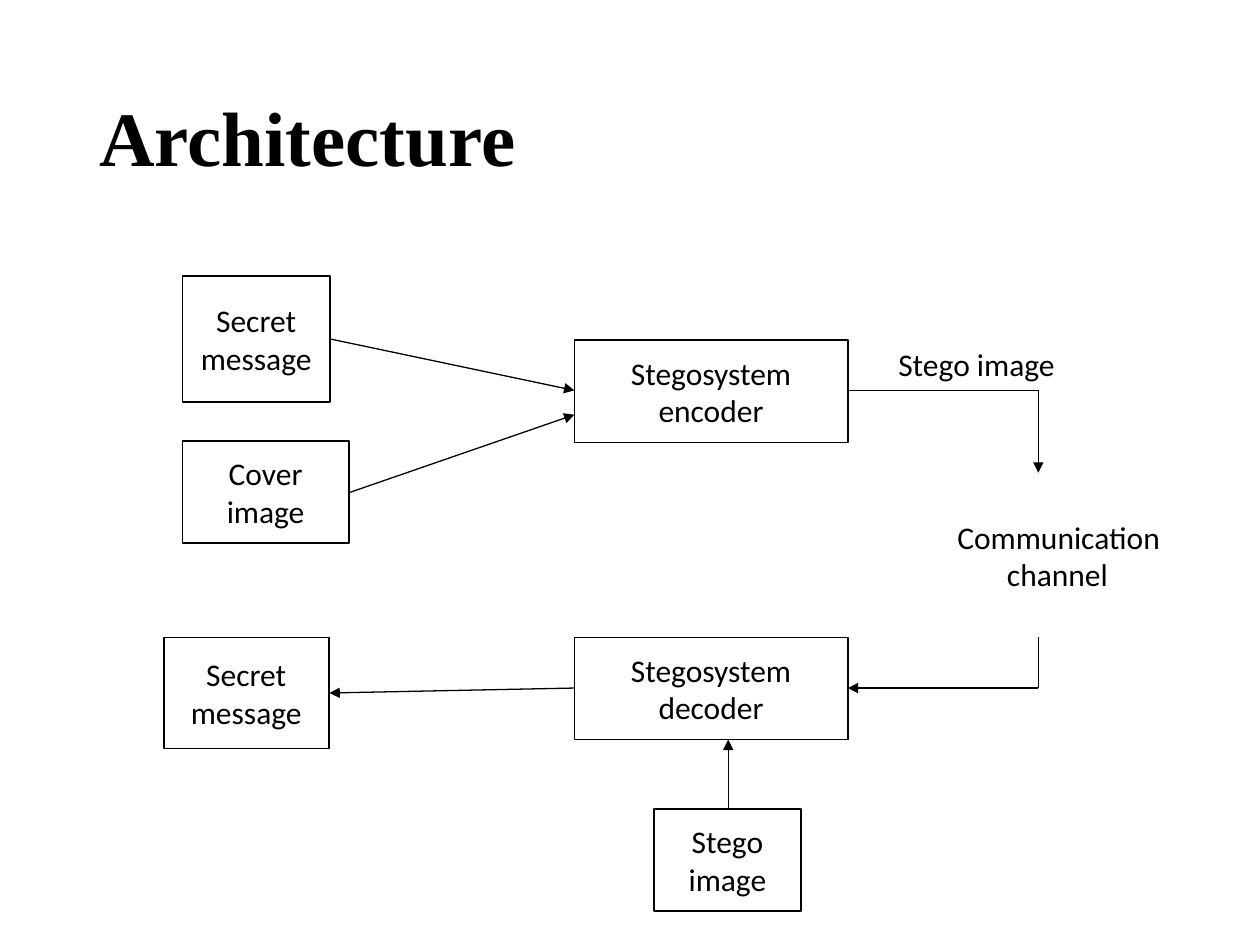
"""Build a one-page diagram of a steganography system."""
from dataclasses import dataclass
from itertools import pairwise

from lxml.etree import SubElement
from pptx import Presentation
from pptx.dml.color import RGBColor
from pptx.enum.shapes import MSO_CONNECTOR, MSO_SHAPE
from pptx.enum.text import MSO_ANCHOR, PP_ALIGN
from pptx.oxml.ns import qn
from pptx.util import Cm, Pt


@dataclass(frozen=True)
class Theme:
    ink: RGBColor = RGBColor(0, 0, 0)
    paper: RGBColor = RGBColor(255, 255, 255)
    body_font: str = "Calibri"
    title_font: str = "Times New Roman"
    body_size: int = 18
    title_size: int = 44
    box_line: float = 1
    arrow_line: float = 0.75


def write(frame, text, *, font, size, color, bold=False, align=PP_ALIGN.LEFT,
          anchor=MSO_ANCHOR.TOP, spacing=None, last_indent=0):
    frame.word_wrap = True
    frame.vertical_anchor = anchor
    frame.text = text
    for para in frame.paragraphs:
        para.alignment = align
        para.line_spacing = spacing
        for span in para.runs:
            span.font.name = font
            span.font.size = Pt(size)
            span.font.bold = bold
            span.font.color.rgb = color
    if last_indent:
        frame.paragraphs[-1]._p.get_or_add_pPr().set("marL", str(Cm(last_indent)))


class Diagram:
    def __init__(self, page, theme):
        self.page = page
        self.theme = theme
        self.body = dict(font=theme.body_font, size=theme.body_size, color=theme.ink)

    def title(self, text, *place):
        box = self.page.shapes.add_textbox(*map(Cm, place))
        write(box.text_frame, text, font=self.theme.title_font,
              size=self.theme.title_size, color=self.theme.ink, bold=True,
              anchor=MSO_ANCHOR.MIDDLE, spacing=0.9)

    def label(self, text, *place, last_indent=0):
        box = self.page.shapes.add_textbox(*map(Cm, place))
        write(box.text_frame, text, last_indent=last_indent, **self.body)

    def block(self, text, *place):
        box = self.page.shapes.add_shape(MSO_SHAPE.RECTANGLE, *map(Cm, place))
        box.shadow.inherit = False
        box.fill.solid()
        box.fill.fore_color.rgb = self.theme.paper
        box.line.color.rgb = self.theme.ink
        box.line.width = Pt(self.theme.box_line)
        write(box.text_frame, text, align=PP_ALIGN.CENTER,
              anchor=MSO_ANCHOR.MIDDLE, **self.body)

    def arrow(self, *points):
        for start, end in pairwise(points):
            line = self.page.shapes.add_connector(
                MSO_CONNECTOR.STRAIGHT, *map(Cm, start + end))
            line.line.color.rgb = self.theme.ink
            line.line.width = Pt(self.theme.arrow_line)
            SubElement(line._element.spPr, qn("a:effectLst"))
        SubElement(line.line._get_or_add_ln(), qn("a:tailEnd"), type="triangle")


def main():
    deck = Presentation()
    deck.slide_width, deck.slide_height = Cm(25.4), Cm(19.05)
    diagram = Diagram(deck.slides.add_slide(deck.slide_layouts[6]), Theme())

    input_left, coder_left, coder_right = 3.68, 11.58, 17.09
    coder_width, height = coder_right - coder_left, 2.06
    encoder_top, decoder_top, stego_top = 6.86, 12.85, 16.31
    encoder_middle, decoder_middle = 7.87, 13.87
    channel_x, stego_x, secret_right = 20.93, 14.68, 6.64

    diagram.title("Architecture", 1.75, 1.02, 21.89, 3.68)
    diagram.block("Secret\nmessage", input_left, 5.56, 2.97, 2.54)
    diagram.block("Cover image", input_left, 8.89, 3.35, height)
    diagram.block("Stego\nimage", 13.18, stego_top, 2.97, height)
    diagram.block("Secret\nmessage", 3.3, decoder_top, 3.33, 2.24)
    diagram.block("Stegosystem\nencoder", coder_left, encoder_top, coder_width, height)
    diagram.block("Stegosystem\ndecoder", coder_left, decoder_top, coder_width, height)

    diagram.arrow((secret_right, 6.83), (coder_left, encoder_middle))
    diagram.arrow((7.04, 9.93), (coder_left, 8.36))
    diagram.arrow((coder_right, encoder_middle), (channel_x, encoder_middle),
                  (channel_x, 9.53))
    diagram.arrow((channel_x, decoder_top), (channel_x, decoder_middle),
                  (coder_right, decoder_middle))
    diagram.arrow((coder_left, decoder_middle), (secret_right, 13.97))
    diagram.arrow((stego_x, stego_top), (stego_x, decoder_top + height))

    diagram.label("Communication\nchannel", 19.05, 10.31, 4.62, 1.8, last_indent=1)
    diagram.label("Stego image", 17.86, 6.83, 4.19, 1.02)
    deck.save("out.pptx")


if __name__ == "__main__":
    main()
